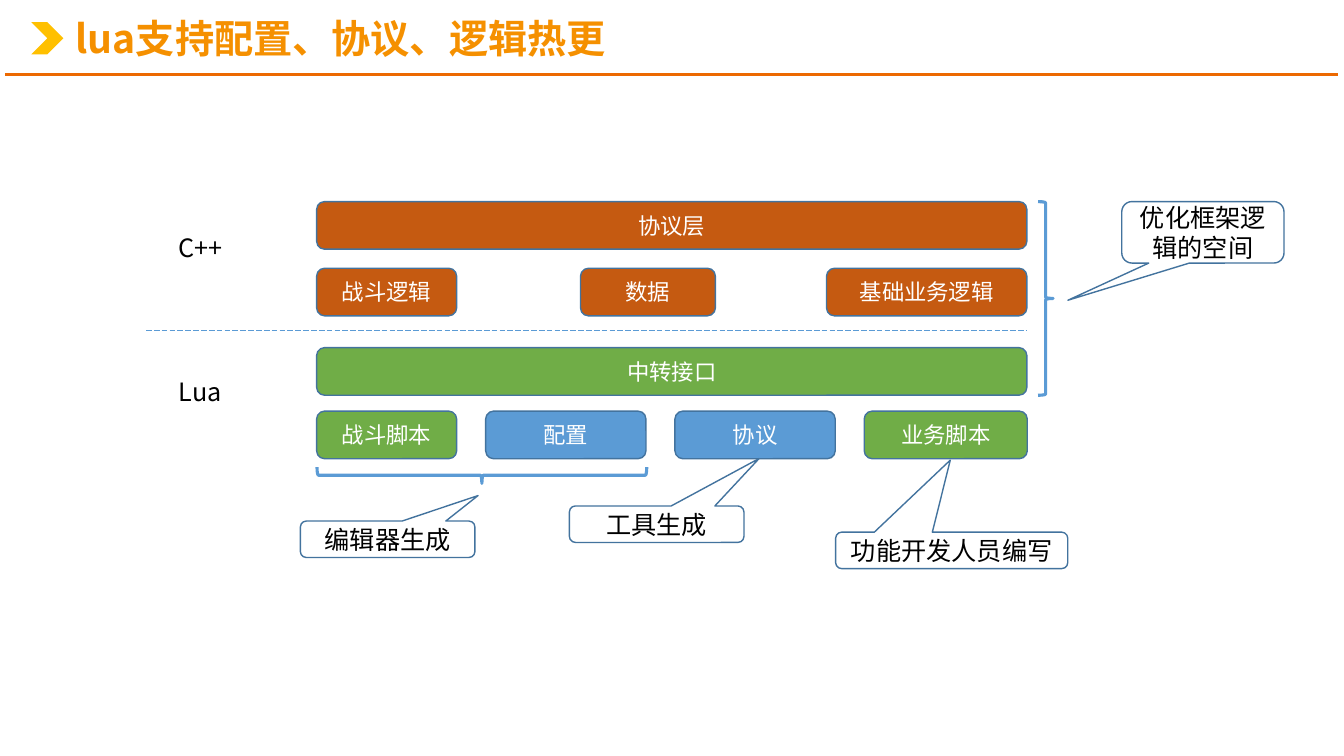
from lxml import etree
from pptx import Presentation
from pptx.dml.color import RGBColor
from pptx.enum.dml import MSO_LINE
from pptx.enum.shapes import MSO_CONNECTOR, MSO_SHAPE
from pptx.enum.text import MSO_ANCHOR, MSO_AUTO_SIZE, PP_ALIGN
from pptx.oxml.ns import qn
from pptx.util import Cm, Pt

STRAIGHT = MSO_CONNECTOR.STRAIGHT
LONG_DASH = MSO_LINE.LONG_DASH
CHEVRON = MSO_SHAPE.CHEVRON
BAR = MSO_SHAPE.ROUNDED_RECTANGLE
BRACE = MSO_SHAPE.LEFT_BRACE
CALLOUT = MSO_SHAPE.ROUNDED_RECTANGULAR_CALLOUT
MIDDLE = MSO_ANCHOR.MIDDLE
CENTER, LEFT = PP_ALIGN.CENTER, PP_ALIGN.LEFT

CJK_FONT = "Noto Sans CJK SC"
ORANGE, GREEN, BLUE = "C55A11", "70AD47", "5B9BD5"
WHITE, BLACK, OUTLINE = "FFFFFF", "000000", "43739E"


def write(shape, text, color, align=CENTER, **font_format):
    frame = shape.text_frame
    frame.word_wrap = True
    frame.vertical_anchor = MIDDLE
    para = frame.paragraphs[0]
    para.alignment = align
    span = para.add_run()
    span.text = text
    span.font.color.rgb = RGBColor.from_string(color)
    for name, value in font_format.items():
        setattr(span.font, name, value)
    east_asian = etree.SubElement(span.font._element, qn("a:ea"))
    east_asian.set("typeface", CJK_FONT)
    return para


def draw(kind, left, top, width, height, fill=None, line=None, weight=1):
    """Add a preset shape, measured in centimetres, without shadow."""
    shape = page.shapes.add_shape(kind, Cm(left), Cm(top), Cm(width), Cm(height))
    shape.shadow.inherit = False
    for part, color in ((shape.fill, fill), (shape.line.fill, line)):
        if color:
            part.solid()
            part.fore_color.rgb = RGBColor.from_string(color)
        else:
            part.background()
    if line:
        shape.line.width = Pt(weight)
    return shape


deck = Presentation()
deck.slide_width, deck.slide_height = Cm(33.87), Cm(19.05)
page = deck.slides.add_slide(deck.slide_layouts[5])

# Heading
draw(CHEVRON, 0.79, 0.56, 0.81, 0.81, "FFC000")
title = page.shapes.title
title.left, title.top, title.width, title.height = Cm(1.65), Cm(0.23), Cm(14.25), Cm(1.6)
heading = write(title, "lua支持配置、协议、逻辑热更", "F59000", LEFT,
                size=Pt(28), name=CJK_FONT, bold=True)
heading.line_spacing = 0.9
title.text_frame.auto_size = MSO_AUTO_SIZE.NONE

# Rule under the heading and divider between the two languages
for start, end, height, color, weight, dash in (
    (0.13, 33.73, 1.88, "EC6901", 2, None),
    (3.68, 25.88, 8.33, BLUE, 0.5, LONG_DASH),
):
    rule = page.shapes.add_connector(STRAIGHT, Cm(start), Cm(height), Cm(end), Cm(height))
    rule.line.color.rgb = RGBColor.from_string(color)
    rule.line.width = Pt(weight)
    rule.line.dash_style = dash
    etree.SubElement(rule._element.spPr, qn("a:effectLst"))

# Language labels
for language, top in (("C++", 5.72), ("Lua", 9.36)):
    label = page.shapes.add_textbox(Cm(3.4), Cm(top), Cm(3.3), Cm(1.02))
    write(label, language, BLACK, size=Pt(18), name=CJK_FONT)

# Layers: top of each row, then text, width, fill and gap to the next box
layers = (
    (5.08, (("协议层", 17.9, ORANGE, 0),)),
    (6.76, (("战斗逻辑", 3.53, ORANGE, 3.12),
            ("数据", 3.4, ORANGE, 2.8),
            ("基础业务逻辑", 5.05, ORANGE, 0))),
    (8.76, (("中转接口", 17.9, GREEN, 0),)),
    (10.36, (("战斗脚本", 3.53, GREEN, 0.73),
             ("配置", 4.04, BLUE, 0.73),
             ("协议", 4.04, BLUE, 0.73),
             ("业务脚本", 4.11, GREEN, 0))),
)
for top, boxes in layers:
    left = 7.98
    for text, width, fill, gap in boxes:
        box = draw(BAR, left, top, width, 1.2, fill, OUTLINE)
        write(box, text, WHITE, size=Pt(16), name=CJK_FONT)
        left += width + gap

# Braces
for left, top, width, height, turn in (
    (11.94, 7.82, 0.41, 8.31, 270),
    (26.16, 5.08, 0.38, 4.88, 180),
):
    brace = draw(BRACE, left, top, width, height, line=BLUE, weight=2.25)
    brace.rotation = turn

# Callouts, each with the offset of its tip
for text, left, top, width, height, tip in (
    ("编辑器生成", 7.57, 13.13, 4.4, 0.92, (0.518, -1.198)),
    ("工具生成", 14.35, 12.75, 4.4, 0.92, (0.587, -1.8)),
    ("功能开发人员编写", 21.06, 13.41, 5.85, 0.92, (-0.006, -2.473)),
    ("优化框架逻辑的空间", 28.27, 5.08, 4.09, 1.55, (-0.832, 1.105)),
):
    callout = draw(CALLOUT, left, top, width, height, WHITE, OUTLINE)
    callout.adjustments[0], callout.adjustments[1] = tip
    write(callout, text, BLACK, size=Pt(18), name="Calibri")

deck.save("out.pptx")
